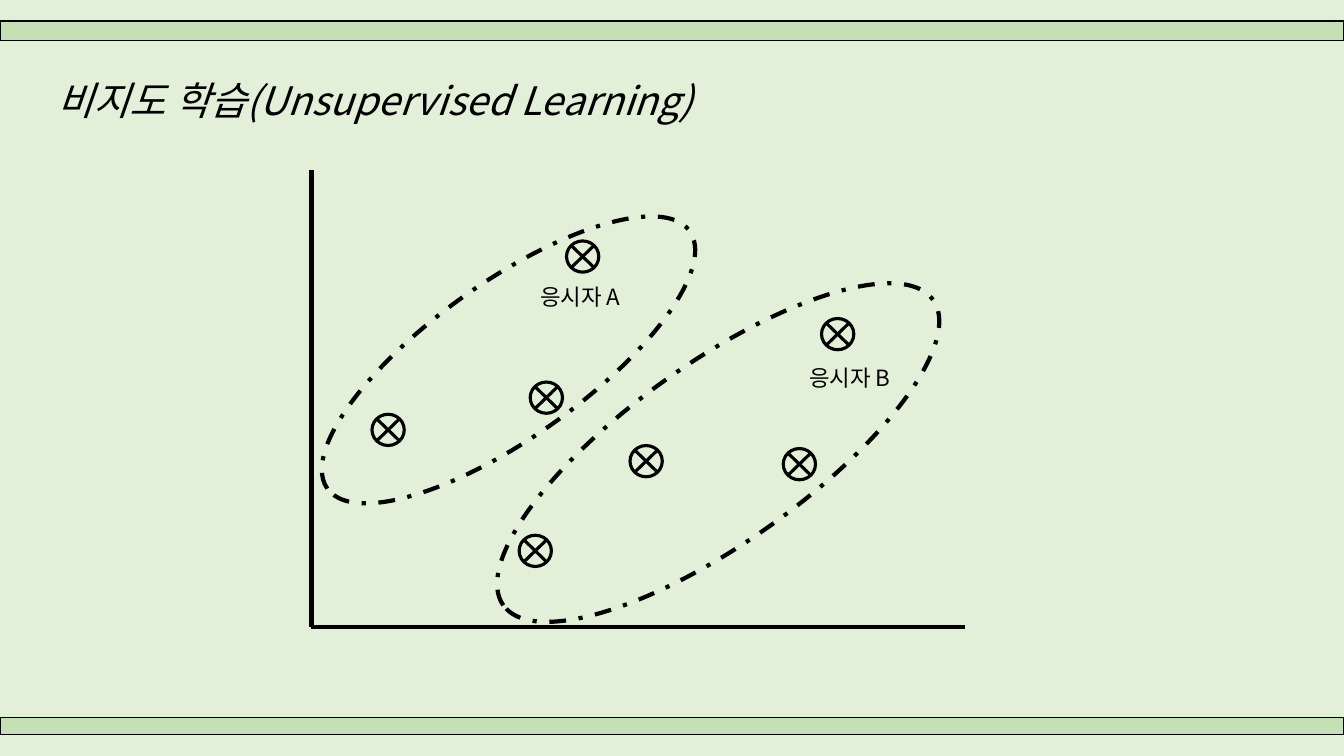
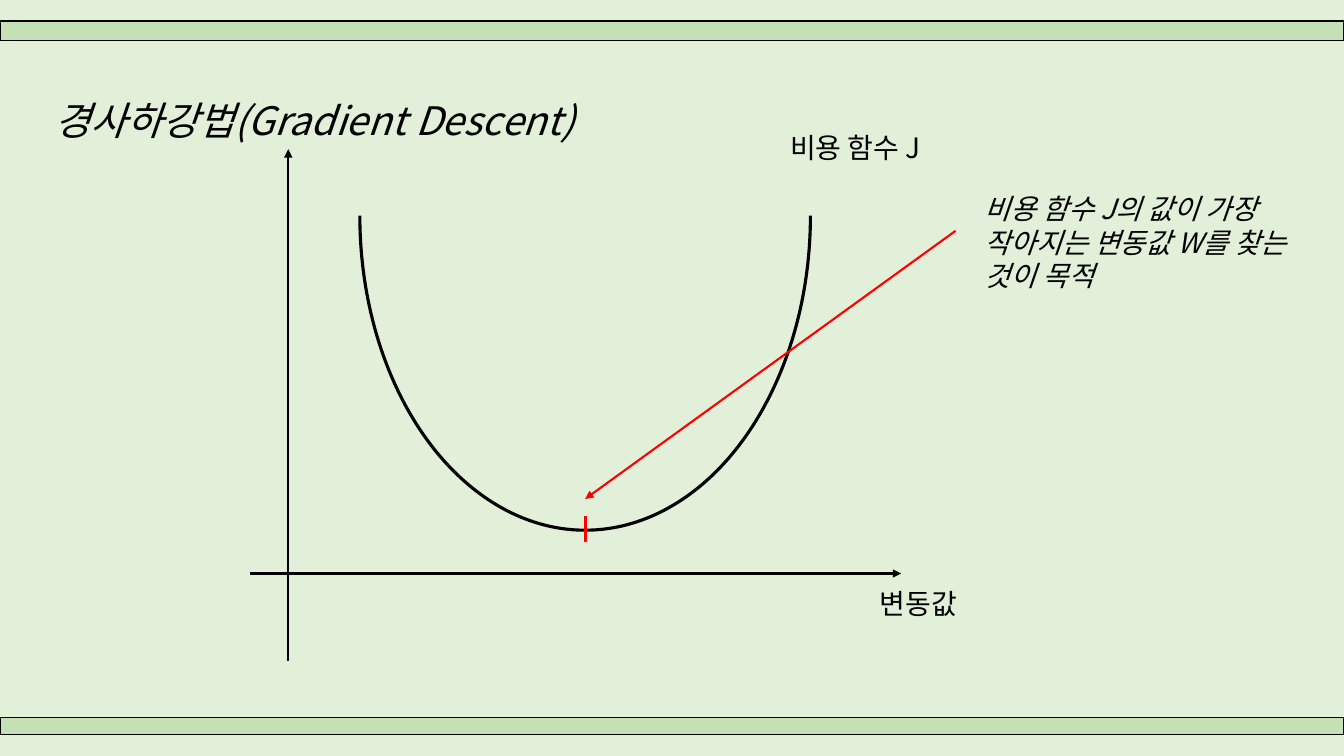
"""Build two machine-learning slides: unsupervised learning and gradient descent."""
from dataclasses import dataclass

from lxml import etree
from pptx import Presentation, util as u
from pptx.dml.color import RGBColor
from pptx.enum import dml, shapes, text
from pptx.oxml.ns import qn

BACKGROUND = RGBColor(0xE2, 0xF0, 0xD9)
BAND = RGBColor(0xC5, 0xE0, 0xB4)
BLACK = RGBColor(0, 0, 0)
RED = RGBColor(0xFF, 0, 0)
FONT = "Noto Sans CJK KR"
CELL = u.Inches(0.1)
COLS, ROWS = 133.33, 75
TITLE_ONLY = 5
Kind = shapes.MSO_SHAPE


@dataclass(frozen=True)
class Box:
    """A rectangle in grid columns and rows."""
    col: float
    row: float
    cols: float
    rows: float

    def emu(self) -> tuple[int, ...]:
        return cells(self.col, self.row, self.cols, self.rows)


@dataclass(frozen=True)
class Label:
    """A piece of text with its box and style."""
    words: str
    box: Box
    size: int = 20
    italic: bool = False


@dataclass(frozen=True)
class Line:
    """A straight line between two grid points."""
    start: tuple[float, float]
    end: tuple[float, float]
    width: float = 1.5
    color: RGBColor = BLACK
    arrow: bool = False


BANDS = (Box(0, 2.1, COLS, 1.9), Box(0, 71.2, COLS, 1.7))

ORIGIN = (30.9, 62.2)
CLUSTER_AXES = (
    Line((30.9, 16.9), ORIGIN, 3),
    Line((95.7, 62.2), ORIGIN, 3),
)
POINTS = ((51.5, 53.1), (52.6, 37.9), (81.5, 31.6), (36.9, 41.1),
          (62.5, 44.2), (77.7, 44.5), (56.2, 23.9))
CLUSTERS = (Box(28.4, 28, 44.1, 15.4), Box(45.1, 36, 52.3, 17.8))
CLUSTER_TILT = 324.6
CANDIDATES = (
    Label("응시자 A", Box(52.6, 27.6, 28.5, 3.7), 16),
    Label("응시자 B", Box(79.3, 35.6, 28.5, 3.7), 16),
)

CURVE = Box(35.7, -9.8, 44.7, 62.4)
MINIMUM = CURVE.col + CURVE.cols / 2
COST_LINES = (
    Line((28.6, 65.6), (28.6, 14.8), arrow=True),
    Line((24.8, 56.9), (89.4, 56.9), arrow=True),
    Line((94.8, 22.9), (MINIMUM, 49.5), color=RED, arrow=True),
    Line((MINIMUM, 53.8), (MINIMUM, 51.2), 2.25, RED),
)
COST_LABELS = (
    Label("변동값", Box(86.3, 57.7, 33.2, 4.4)),
    Label("비용 함수 J", Box(77.4, 12.5, 20.2, 4.4)),
    Label("비용 함수 J의 값이 가장 작아지는 변동값 W를 찾는 것이 목적",
          Box(96.7, 18.5, 32.4, 11.1), italic=True),
)


def cells(*counts: float) -> tuple[int, ...]:
    """Turn grid counts into lengths."""
    return tuple(round(n * CELL) for n in counts)


def write(s, label: Label) -> None:
    """Place a text shape and fill it with a styled label."""
    s.left, s.top, s.width, s.height = label.box.emu()
    tf = s.text_frame
    tf.text = label.words
    tf.word_wrap = True
    tf.auto_size = text.MSO_AUTO_SIZE.SHAPE_TO_FIT_TEXT
    tf.vertical_anchor = text.MSO_ANCHOR.TOP
    p = tf.paragraphs[0]
    p.alignment = text.PP_ALIGN.LEFT
    p.font.size = u.Pt(label.size)
    p.font.italic = label.italic
    p.font.color.rgb = BLACK
    p.font.name = FONT
    defaults = p._p.pPr.find(qn("a:defRPr"))
    etree.SubElement(defaults, qn("a:ea")).set("typeface", FONT)


def add_label(slide, label: Label) -> None:
    """Add a text box."""
    write(slide.shapes.add_textbox(*label.box.emu()), label)


def add_outline(slide, kind: Kind, box: Box, width: float):
    """Add an unfilled black outline."""
    s = slide.shapes.add_shape(kind, *box.emu())
    s.shadow.inherit = False
    s.fill.background()
    s.line.color.rgb = BLACK
    s.line.width = u.Pt(width)
    return s


def add_line(slide, line: Line) -> None:
    """Add a line, with an arrowhead at its end if wanted."""
    s = slide.shapes.add_connector(
        shapes.MSO_CONNECTOR.STRAIGHT, *cells(*line.start, *line.end))
    s.line.color.rgb = line.color
    s.line.width = u.Pt(line.width)
    if line.arrow:
        ln = s.line._get_or_add_ln()
        etree.SubElement(ln, qn("a:tailEnd")).set("type", "triangle")
    etree.SubElement(s._element.spPr, qn("a:effectLst"))


def add_slide(prs, title: str, col: float, row: float):
    """Add a slide with the shared background, bands and title style."""
    slide = prs.slides.add_slide(prs.slide_layouts[TITLE_ONLY])
    fill = slide.background.fill
    fill.solid()
    fill.fore_color.rgb = BACKGROUND
    for box in BANDS:
        s = add_outline(slide, Kind.RECTANGLE, box, 1)
        s.fill.solid()
        s.fill.fore_color.rgb = BAND
    write(slide.shapes.title, Label(title, Box(col, row, 111.8, 5.7), 28, True))
    return slide


def build_clusters(prs) -> None:
    """Draw the scatter of points grouped into two clusters."""
    slide = add_slide(prs, "비지도 학습(Unsupervised Learning)", 4.7, 7.1)
    for line in CLUSTER_AXES:
        add_line(slide, line)
    for col, row in POINTS:
        add_outline(slide, Kind.FLOWCHART_SUMMING_JUNCTION,
                    Box(col, row, 3.2, 3.1), 2.25)
    for box in CLUSTERS:
        s = add_outline(slide, Kind.OVAL, box, 3)
        s.line.dash_style = dml.MSO_LINE.DASH_DOT
        s.rotation = CLUSTER_TILT
    for label in CANDIDATES:
        add_label(slide, label)


def build_descent(prs) -> None:
    """Draw the cost curve and point at its minimum."""
    slide = add_slide(prs, "경사하강법(Gradient Descent)", 4.4, 9.1)
    s = add_outline(slide, Kind.ARC, CURVE, 2.25)
    s.adjustments[0], s.adjustments[1] = 0, 108
    for line in COST_LINES:
        add_line(slide, line)
    for label in COST_LABELS:
        add_label(slide, label)


def main() -> None:
    """Build and save the presentation."""
    prs = Presentation()
    prs.slide_width, prs.slide_height = cells(COLS, ROWS)
    build_clusters(prs)
    build_descent(prs)
    prs.save("out.pptx")


if __name__ == "__main__":
    main()
